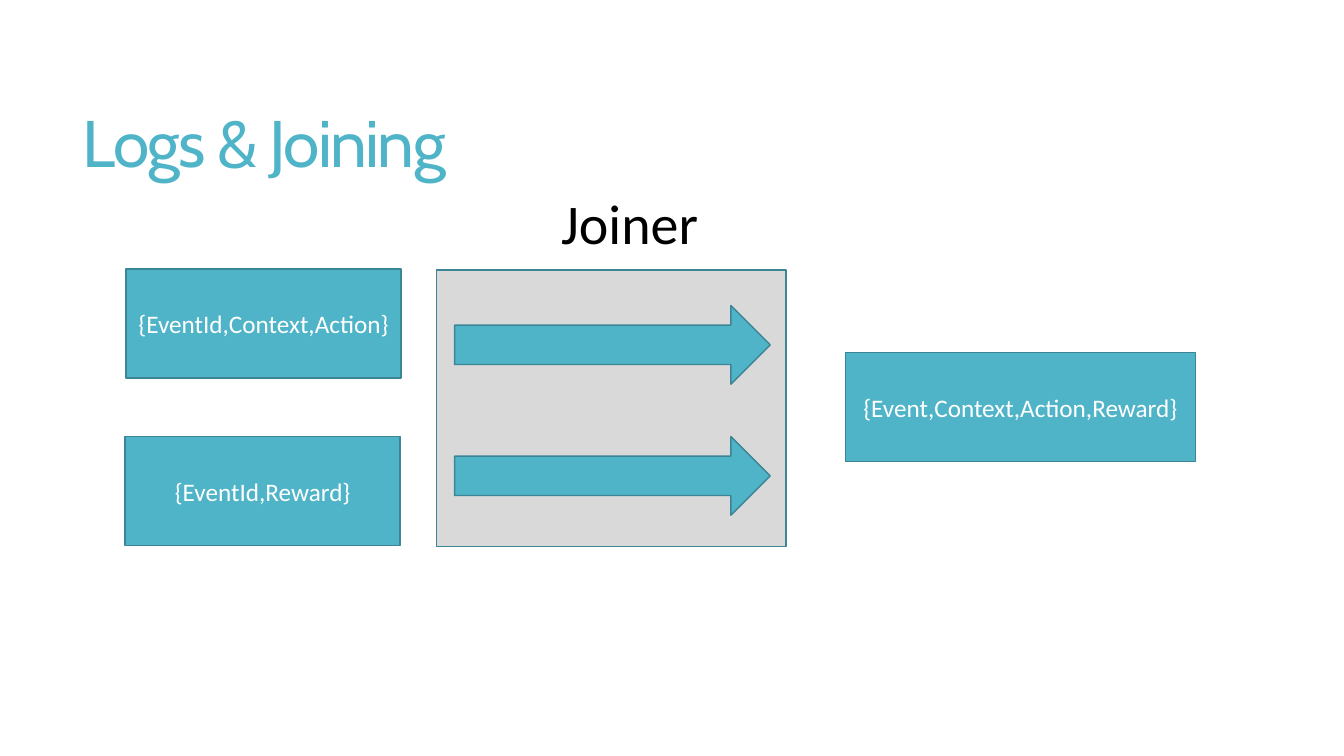
import pptx
import pptx.util
import pptx.dml.color
import pptx.enum.shapes
import pptx.enum.text

Pt = pptx.util.Pt
Kind = pptx.enum.shapes.MSO_SHAPE
Align = pptx.enum.text.PP_ALIGN
Anchor = pptx.enum.text.MSO_ANCHOR
Fit = pptx.enum.text.MSO_AUTO_SIZE

HUES = {
    "teal": "50B4C8",
    "edge": "3B8594",
    "panel": "D9D9D9",
    "white": "FFFFFF",
    "black": "000000",
}


def color(name):
    return pptx.dml.color.RGBColor.from_string(HUES[name])


def write(shape, text, size=18, font="Calibri", hue="white",
          align=Align.CENTER, anchor=Anchor.MIDDLE, wrap=True,
          fit=Fit.NONE, space=None, track=None):
    frame = shape.text_frame
    frame.word_wrap = wrap
    frame.auto_size = fit
    frame.vertical_anchor = anchor
    para = frame.paragraphs[0]
    para.alignment = align
    if space:
        para.line_spacing = space
    run = para.add_run()
    run.text = text
    run.font.size = Pt(size)
    run.font.name = font
    run.font.color.rgb = color(hue)
    if track:
        run.font._element.set("spc", str(track))


def block(slide, kind, box, fill="teal"):
    shape = slide.shapes.add_shape(kind, *map(Pt, box))
    shape.shadow.inherit = False
    shape.fill.solid()
    shape.fill.fore_color.rgb = color(fill)
    shape.line.color.rgb = color("edge")
    shape.line.width = Pt(1)
    return shape


def title(slide, box):
    head = slide.shapes.title
    head.left, head.top, head.width, head.height = map(Pt, box)
    write(head, "Logs & Joining", size=47, font="Cabin", hue="teal",
          align=Align.LEFT, space=0.9, track=-120)


def record(slide, box, text):
    write(block(slide, Kind.RECTANGLE, box), text)


def joiner(slide, box):
    left, top, width, height = box
    block(slide, Kind.RECTANGLE, box, fill="panel")
    for drop in (25.2, 118.8):
        block(slide, Kind.RIGHT_ARROW, (left + 13, top + drop, 225.4, 56.2))
    label = slide.shapes.add_textbox(
        Pt(left + 82), Pt(top - 62), Pt(113), Pt(55.4))
    write(label, "Joiner", size=40, hue="black", align=Align.LEFT,
          anchor=Anchor.TOP, wrap=False, fit=Fit.SHAPE_TO_FIT_TEXT)


def main():
    deck = pptx.Presentation()
    deck.slide_width, deck.slide_height = Pt(960), Pt(540)
    slide = deck.slides.add_slide(deck.slide_layouts.get_by_name("Title Only"))
    title(slide, (51.8, 39.6, 848.2, 130.3))
    joiner(slide, (311.8, 193, 249.8, 197.3))
    record(slide, (90, 192.2, 196.6, 77.8), "{EventId,Context,Action}")
    record(slide, (89.3, 311.8, 196.6, 77.8), "{EventId,Reward}")
    record(slide, (604, 252, 249.8, 77.8), "{Event,Context,Action,Reward}")
    deck.save("out.pptx")


if __name__ == "__main__":
    main()
